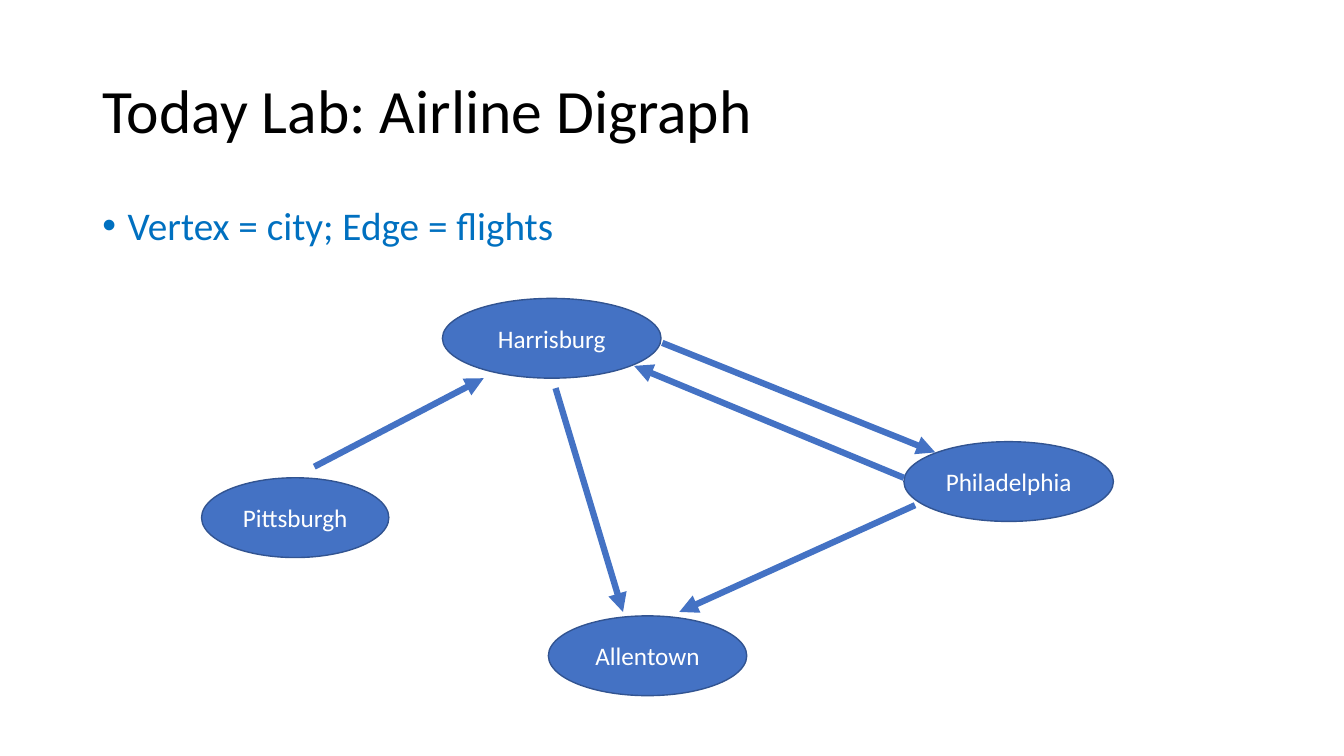
from lxml import etree
from pptx import Presentation
from pptx import util as u
from pptx.dml.color import RGBColor
from pptx.enum import shapes, text
from pptx.oxml import ns

HUES = {"black": "000000", "blue": "0070C0", "fill": "4472C4",
        "edge": "325491", "white": "FFFFFF"}


def hue(name):
    return RGBColor.from_string(HUES[name])


def write(para, words, size, color):
    para.text = words
    para.font.name = "Calibri"
    para.font.size = u.Pt(size)
    para.font.color.rgb = hue(color)


deck = Presentation()
deck.slide_width, deck.slide_height = u.Cm(33.87), u.Cm(19.05)
slide = deck.slides.add_slide(deck.slide_layouts[6])

title = slide.shapes.add_textbox(u.Cm(2.33), u.Cm(1.02), u.Cm(29.21), u.Cm(3.68))
title.text_frame.word_wrap = True
title.text_frame.vertical_anchor = text.MSO_ANCHOR.MIDDLE
head = title.text_frame.paragraphs[0]
head.line_spacing = 0.9
write(head, "Today Lab: Airline Digraph", 44, "black")

body = slide.shapes.add_textbox(u.Cm(2.33), u.Cm(5.07), u.Cm(29.21), u.Cm(12.09))
body.text_frame.word_wrap = True
point = body.text_frame.paragraphs[0]
point.line_spacing = 0.9
point.space_before = u.Pt(10)
props = point._p.get_or_add_pPr()
props.set("marL", str(u.Cm(0.64)))
props.set("indent", str(u.Cm(-0.64)))
etree.SubElement(props, ns.qn("a:buFont")).set("typeface", "Arial")
etree.SubElement(props, ns.qn("a:buChar")).set("char", "•")
write(point, "Vertex = city; Edge = flights", 28, "blue")

cities = [
    ("Pittsburgh", 5.08, 12.04, 4.72),
    ("Harrisburg", 11.15, 7.52, 5.51),
    ("Allentown", 13.82, 15.52, 5),
    ("Philadelphia", 22.78, 11.13, 5.28),
]
for name, left, top, width in cities:
    city = slide.shapes.add_shape(shapes.MSO_SHAPE.OVAL, u.Cm(left), u.Cm(top),
                                  u.Cm(width), u.Cm(2.01))
    city.shadow.inherit = False
    city.fill.solid()
    city.fill.fore_color.rgb = hue("fill")
    city.line.color.rgb = hue("edge")
    city.line.width = u.Pt(1)
    city.text_frame.vertical_anchor = text.MSO_ANCHOR.MIDDLE
    label = city.text_frame.paragraphs[0]
    label.alignment = text.PP_ALIGN.CENTER
    write(label, name, 18, "white")

flights = [
    (7.92, 11.76, 12.19, 9.53),
    (16.69, 8.64, 23.57, 11.4),
    (22.78, 12.04, 15.98, 9.22),
    (23.06, 12.73, 17.12, 15.42),
    (14, 9.78, 15.7, 15.42),
]
for ends in flights:
    flight = slide.shapes.add_connector(shapes.MSO_CONNECTOR.STRAIGHT,
                                        *[u.Cm(end) for end in ends])
    flight.line.color.rgb = hue("fill")
    flight.line.width = u.Pt(4.5)
    tip = etree.SubElement(flight.line._get_or_add_ln(), ns.qn("a:tailEnd"))
    tip.set("type", "triangle")
    etree.SubElement(flight._element.spPr, ns.qn("a:effectLst"))

deck.save("out.pptx")
